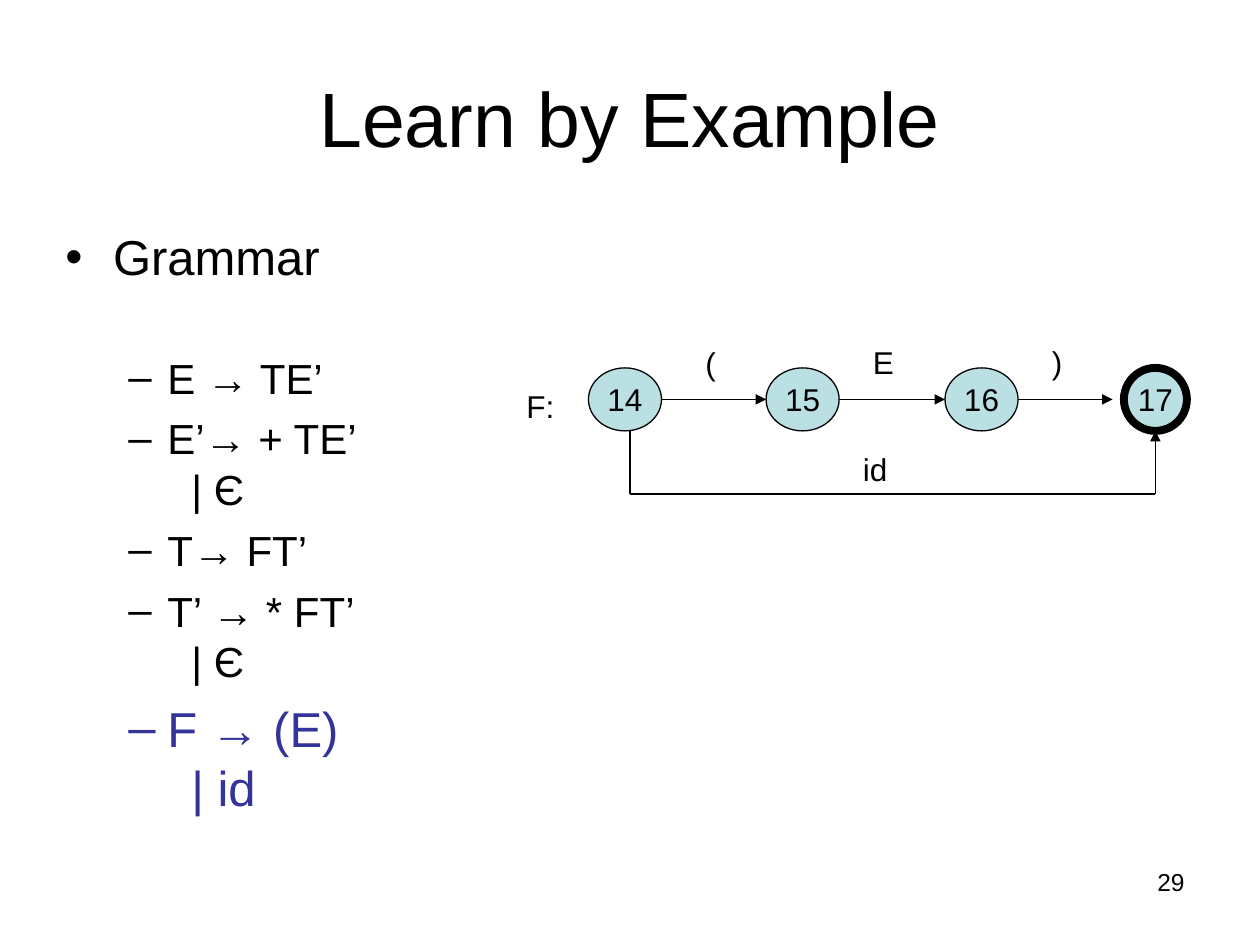
import pptx
import pptx.dml.color
import pptx.enum.shapes
import pptx.enum.text
import pptx.oxml
import pptx.oxml.ns
import pptx.util
from pptx.util import Inches

BLACK, BLUE, STATE_FILL = "000000", "333399", "BBE0E3"
FONT = "Arial"
ALIGN = pptx.enum.text.PP_ALIGN
ANCHOR = pptx.enum.text.MSO_ANCHOR

# Content: grammar lines are (lines, level, size, colour, space before)
GRAMMAR = [
    (["Grammar"], 0, 28, BLACK, 7),
    (["E → TE’"], 1, 24, BLACK, 38),
    (["E’→ + TE’", "\t| Є"], 1, 24, BLACK, 6),
    (["T→ FT’"], 1, 24, BLACK, 6),
    (["T’ → * FT’", "\t| Є"], 1, 24, BLACK, 6),
    (["F → (E)", "\t| id"], 1, 28, BLUE, 7),
]
LEVELS = [("•", 0.38, 0.38), ("–", 0.81, 0.31)]  # bullet, margin, hanging

# States are (name, left, width, line width)
STATES = [("14", 4.67, 0.58, 0.75), ("15", 6.08, 0.58, 0.75),
          ("16", 7.5, 0.58, 0.75), ("17", 8.92, 0.5, 4.5)]
STATE_TOP, STATE_HEIGHT = 2.92, 0.5
FINAL_GAP = 0.09  # the arrow stops short of the final state
LABELS = [("F:", 4.08, 3.02, 0.58), ("(", 5.5, 2.68, 0.33), ("E", 6.83, 2.67, 0.33),
          (")", 8.25, 2.67, 0.33), ("id", 6.75, 3.52, 0.5)]
BYPASS_START, BYPASS_END, BYPASS_Y = 5, 9.17, 3.92

presentation = pptx.Presentation()
presentation.slide_width, presentation.slide_height = Inches(10), Inches(7.5)
slide = presentation.slides.add_slide(presentation.slide_layouts[6])


def rgb(value):
    return pptx.dml.color.RGBColor.from_string(value)


def add_run(paragraph, text, size, color=BLACK):
    run = paragraph.add_run()
    run.text = text
    run.font.name = FONT
    run.font.size = pptx.util.Pt(size)
    run.font.color.rgb = rgb(color)


def add_text_box(left, top, width, height, anchor=ANCHOR.TOP):
    frame = slide.shapes.add_textbox(*map(Inches, (left, top, width, height))).text_frame
    frame.word_wrap = True
    frame.vertical_anchor = anchor
    return frame


def add_label(text, size, box, align=ALIGN.LEFT, anchor=ANCHOR.TOP):
    paragraph = add_text_box(*box, anchor).paragraphs[0]
    paragraph.alignment = align
    add_run(paragraph, text, size)


def add_xml(parent, xml):
    tag, rest = xml.split(" ", 1)
    namespace = pptx.oxml.ns.nsdecls("a")
    parent.append(pptx.oxml.parse_xml(f"<a:{tag} {namespace} {rest}"))


def add_line(start, end, arrow=False):
    connector = slide.shapes.add_connector(
        pptx.enum.shapes.MSO_CONNECTOR.STRAIGHT, *map(Inches, start + end))
    connector.line.width = pptx.util.Pt(0.75)
    connector.line.color.rgb = rgb(BLACK)
    if arrow:
        add_xml(connector.line._get_or_add_ln(), 'tailEnd type="triangle"/>')
    add_xml(connector._element.spPr, "effectLst />")


# Title and slide number
add_label("Learn by Example", 44, (0.5, 0.3, 9, 1.25), ALIGN.CENTER, ANCHOR.MIDDLE)
add_label("29", 14, (7.17, 6.83, 2.33, 0.52), ALIGN.RIGHT)

# Grammar list
grammar_frame = add_text_box(0.42, 1.75, 2.67, 4.95)
for index, (lines, level, size, color, before) in enumerate(GRAMMAR):
    paragraph = grammar_frame.add_paragraph() if index else grammar_frame.paragraphs[0]
    paragraph.level = level
    paragraph.space_before = pptx.util.Pt(before)
    bullet, margin, hanging = LEVELS[level]
    properties = paragraph._p.get_or_add_pPr()
    properties.set("marL", str(Inches(margin)))
    properties.set("indent", str(-Inches(hanging)))
    add_xml(properties, f'buClr ><a:srgbClr val="{color}"/></a:buClr>')
    add_xml(properties, f'buFont typeface="{FONT}"/>')
    add_xml(properties, f'buChar char="{bullet}"/>')
    add_xml(properties, f'tabLst ><a:tab pos="{Inches(1)}" algn="l"/></a:tabLst>')
    for number, line in enumerate(lines):
        if number:
            paragraph.add_line_break()
        add_run(paragraph, line, size, color)

# States of the transition diagram
for name, left, width, line_width in STATES:
    state = slide.shapes.add_shape(
        pptx.enum.shapes.MSO_SHAPE.OVAL,
        *map(Inches, (left, STATE_TOP, width, STATE_HEIGHT)))
    state.shadow.inherit = False
    state.fill.solid()
    state.fill.fore_color.rgb = rgb(STATE_FILL)
    state.line.color.rgb = rgb(BLACK)
    state.line.width = pptx.util.Pt(line_width)
    state.text_frame.word_wrap = False
    state.text_frame.vertical_anchor = ANCHOR.MIDDLE
    paragraph = state.text_frame.paragraphs[0]
    paragraph.alignment = ALIGN.CENTER
    add_run(paragraph, name, 18)

# Arrows from each state to the next
middle = STATE_TOP + STATE_HEIGHT / 2
for source, target in zip(STATES, STATES[1:]):
    gap = FINAL_GAP if target is STATES[-1] else 0
    add_line((source[1] + source[2], middle), (target[1] - gap, middle), arrow=True)

# Bypass for id, under the states
bottom = STATE_TOP + STATE_HEIGHT
corners = [(BYPASS_START, bottom), (BYPASS_START, BYPASS_Y),
           (BYPASS_END, BYPASS_Y), (BYPASS_END, bottom)]
for start, end in zip(corners, corners[1:]):
    add_line(start, end, arrow=end is corners[-1])

# Edge labels
for text, left, top, width in LABELS:
    add_label(text, 18, (left, top, width, 0.4))

presentation.save("out.pptx")
